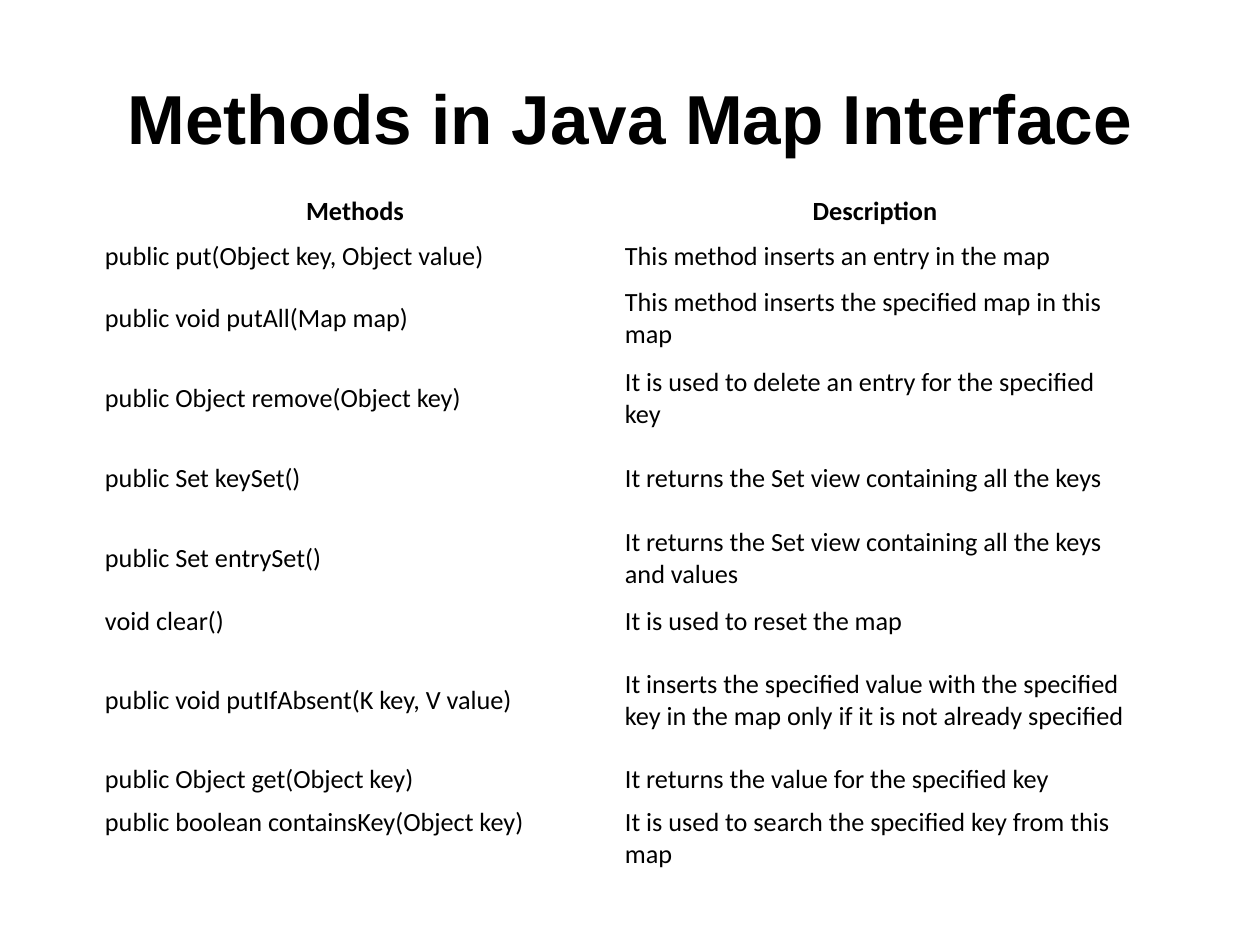
from pptx import Presentation
from pptx.dml.color import RGBColor
from pptx.enum.text import MSO_ANCHOR, PP_ALIGN
from pptx.util import Emu, Pt

TITLE = "Methods in Java Map Interface"
HEADINGS = ("Methods", "Description")
METHODS = [
    ("public put(Object key, Object value)", "This method inserts an entry in the map"),
    ("public void putAll(Map map)", "This method inserts the specified map in this map"),
    ("public Object remove(Object key)", "It is used to delete an entry for the specified key"),
    ("public Set keySet()", "It returns the Set view containing all the keys"),
    ("public Set entrySet()", "It returns the Set view containing all the keys and values"),
    ("void clear()", "It is used to reset the map"),
    ("public void putIfAbsent(K key, V value)",
     "It inserts the specified value with the specified key in the map "
     "only if it is not already specified"),
    ("public Object get(Object key)", "It returns the value for the specified key"),
    ("public boolean containsKey(Object key)",
     "It is used to search the specified key from this map"),
]
SHORT, MEDIUM, TALL = 45, 80, 113
ROW_HEIGHTS = [SHORT, SHORT, MEDIUM, MEDIUM, MEDIUM, MEDIUM, SHORT, TALL, SHORT, MEDIUM]
COLUMN_WIDTH = 520
INK = "000000"


def px(length):
    """Turn pixels into EMU at 126 pixels to the inch."""
    return Emu(round(length * 914400 / 126))


def color(value):
    """Turn a hex string into a colour."""
    return RGBColor.from_string(value)


def write(frame, text, size=15, font="Calibri", bold=False, align=PP_ALIGN.LEFT):
    """Put one formatted paragraph into a text frame."""
    frame.word_wrap = True
    para = frame.paragraphs[0]
    para.alignment = align
    span = para.add_run()
    span.text = text
    span.font.size = Pt(size)
    span.font.name = font
    span.font.bold = bold
    span.font.color.rgb = color(INK)


def add_title(page):
    """Add the centred slide title."""
    box = page.shapes.add_textbox(px(63), px(38), px(1134), px(157))
    box.text_frame.vertical_anchor = MSO_ANCHOR.MIDDLE
    write(box.text_frame, TITLE, size=39.6, font="Arial", bold=True, align=PP_ALIGN.CENTER)


def add_methods_table(page):
    """Add the unfilled table of methods and descriptions."""
    rows = [HEADINGS] + METHODS
    table = page.shapes.add_table(
        len(rows), len(HEADINGS), px(95), px(189),
        px(COLUMN_WIDTH * len(HEADINGS)), px(sum(ROW_HEIGHTS))).table
    table.first_row = table.horz_banding = False
    for column in table.columns:
        column.width = px(COLUMN_WIDTH)
    for index, (texts, height) in enumerate(zip(rows, ROW_HEIGHTS)):
        table.rows[index].height = px(height)
        heading = index == 0
        last = index == len(rows) - 1
        for cell, text in zip(table.rows[index].cells, texts):
            cell.fill.background()
            cell.margin_left = cell.margin_right = px(10)
            cell.margin_top = cell.margin_bottom = px(5)
            cell.vertical_anchor = MSO_ANCHOR.TOP if last else MSO_ANCHOR.MIDDLE
            write(cell.text_frame, text, bold=heading,
                  align=PP_ALIGN.CENTER if heading else PP_ALIGN.LEFT)
    # The "No Style, No Grid" table style draws neither bands nor borders.
    style = table._tbl.tblPr.find("{*}tableStyleId")
    style.text = "{2D5ABB26-0587-4C30-8999-92F81FD0307C}"


deck = Presentation()
deck.slide_width, deck.slide_height = px(1260), px(945)
page = deck.slides.add_slide(deck.slide_layouts[6])
add_title(page)
add_methods_table(page)
deck.save("out.pptx")
